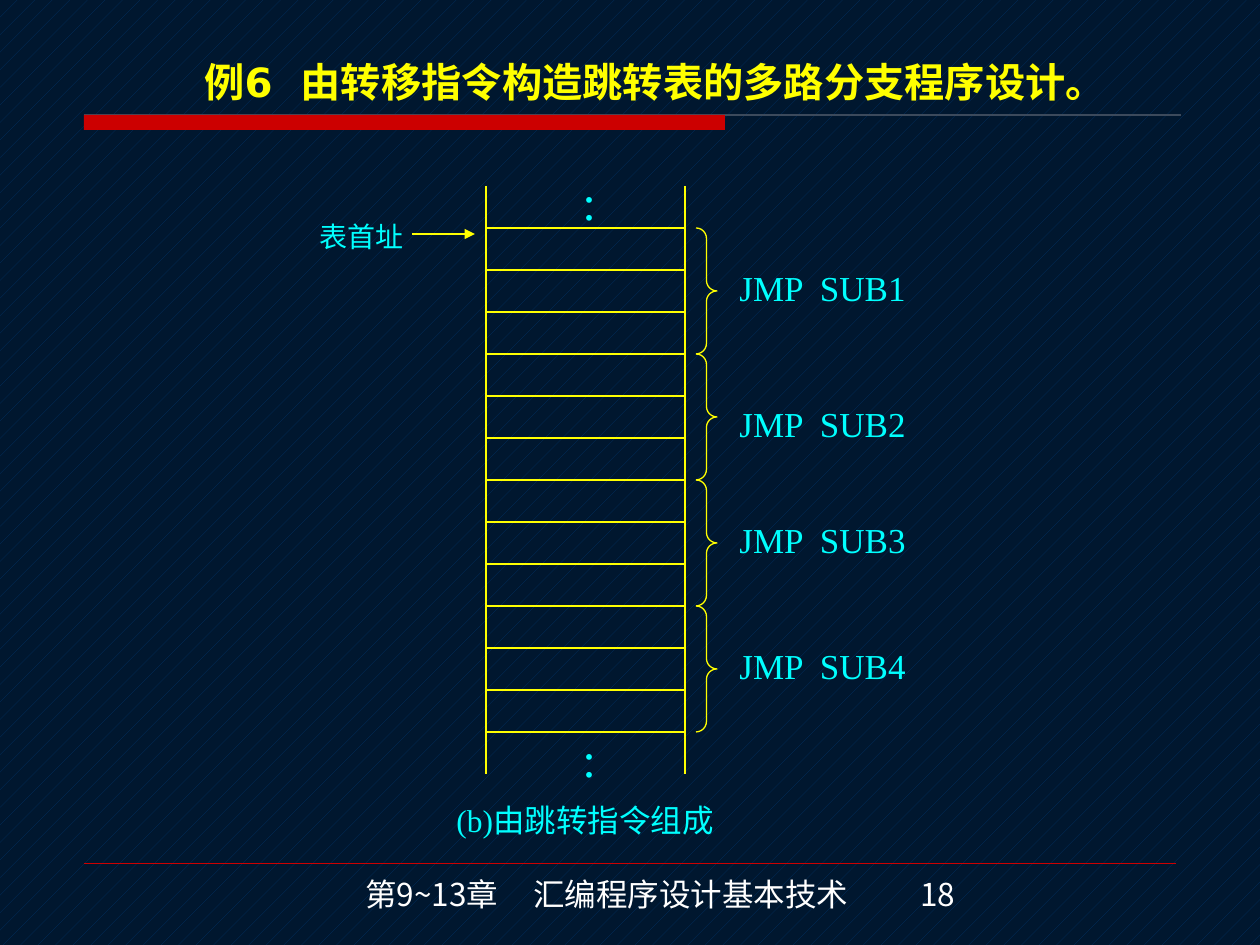
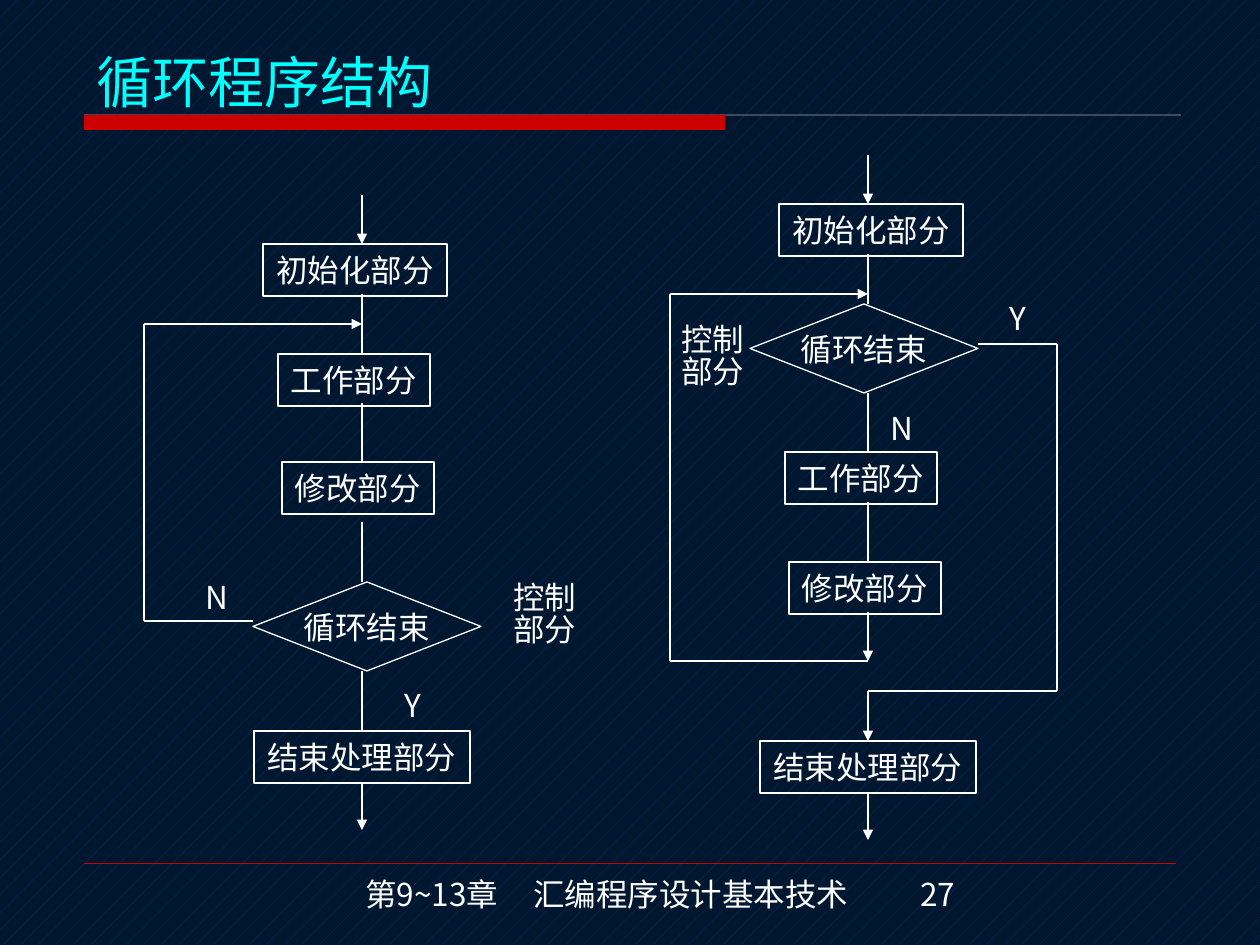
from itertools import pairwise

from lxml import etree
from pptx import Presentation
from pptx import util as u
from pptx.dml.color import RGBColor
from pptx.enum import dml, shapes, text
from pptx.oxml.ns import qn

PX = 914400 / 126
COLORS = {
    "back": "00172F",
    "pattern": "003366",
    "band": "CC0000",
    "rule": "3C4A5C",
    "yellow": "FFFF00",
    "cyan": "00FFFF",
    "white": "FFFFFF",
}
CJK = "Noto Sans CJK SC"
FOOTER_FONT = "Noto Sans CJK JP"
TITLE_FONT = "DejaVu Sans"
SERIF = "Times New Roman"
LEFT, CENTER = text.PP_ALIGN.LEFT, text.PP_ALIGN.CENTER
TOP, MIDDLE, BOTTOM = (text.MSO_ANCHOR.TOP, text.MSO_ANCHOR.MIDDLE,
                       text.MSO_ANCHOR.BOTTOM)


def px(value):
    return u.Emu(round(value * PX))


def rgb(name):
    return RGBColor.from_string(COLORS[name])


def write(box, words, size, color, font=CJK, bold=False, align=LEFT,
          anchor=TOP, wrap=True, spacing=None):
    """Fill a shape or text box with words in one style."""
    frame = box.text_frame
    frame.text = words
    frame.word_wrap = wrap
    frame.vertical_anchor = anchor
    for para in frame.paragraphs:
        para.alignment = align
        if spacing:
            para.line_spacing = spacing
        for span in para.runs:
            span.font.size = u.Pt(size)
            span.font.bold = bold
            span.font.name = font
            span.font.color.rgb = rgb(color)
            east = etree.SubElement(span.font._element, qn("a:ea"))
            east.set("typeface", CJK)


def label(page, words, area, size, color, **style):
    box = page.shapes.add_textbox(*map(px, area))
    write(box, words, size, color, **style)
    return box


def outline(page, kind, area, color):
    shape = page.shapes.add_shape(kind, *map(px, area))
    shape.shadow.inherit = False
    shape.fill.background()
    shape.line.color.rgb = rgb(color)
    shape.line.width = u.Pt(0.75)
    return shape


def line(page, start, end, color, width=0.75, arrow=False):
    link = page.shapes.add_connector(shapes.MSO_CONNECTOR.STRAIGHT,
                                     *map(px, (*start, *end)))
    link.line.color.rgb = rgb(color)
    link.line.width = u.Pt(width)
    if arrow:
        head = etree.SubElement(link.line._get_or_add_ln(), qn("a:tailEnd"))
        head.set("type", "triangle")
    etree.SubElement(link._element.spPr, qn("a:effectLst"))
    return link


def route(page, *points, arrow=False):
    """Draw white lines through the points; return the last one."""
    for start, end in pairwise(points):
        last = line(page, start, end, "white",
                    arrow=arrow and end == points[-1])
    return last


def step(page, words, left, top):
    box = outline(page, shapes.MSO_SHAPE.RECTANGLE,
                  (left, top, 24 + 32 * len(words), 52), "white")
    write(box, words, 18, "white", align=CENTER, anchor=MIDDLE, wrap=False)
    return box


def decision(page, words, left, top):
    diamond = outline(page, shapes.MSO_SHAPE.FLOWCHART_DECISION,
                      (left, top, 228, 89), "white")
    write(diamond, words, 18, "white", align=CENTER, anchor=MIDDLE, wrap=False)


def branch(page, words, left, top):
    label(page, words, (left, top, 42, 88), 18, "white", align=CENTER,
          wrap=False)


def control_note(page, left, top):
    label(page, "控制\n部分", (left, top, 88, 88), 18, "white", font="Arial",
          align=CENTER, anchor=MIDDLE, wrap=False, spacing=0.85)


def end_step(page, axis, above, top):
    """Place the last step on the axis with its incoming and outgoing line."""
    box = step(page, "结束处理部分", axis - 108, top)
    above.end_connect(box, 0)
    leave = line(page, (axis, top + 52), (axis, top + 99), "white", arrow=True)
    leave.begin_connect(box, 2)


def footer(page, number):
    box = label(page, f"第9~13章\t汇编程序设计基本技术\t{number}",
                (353, 869, 655, 50), 18, "white", font=FOOTER_FONT)
    props = box.text_frame.paragraphs[0]._p.get_or_add_pPr()
    stops = etree.SubElement(props, qn("a:tabLst"))
    for stop in (168, 555):
        tab = etree.SubElement(stops, qn("a:tab"))
        tab.set("pos", str(px(stop)))
        tab.set("algn", "l")


def new_page(deck, number):
    """Add a slide with the shared background, band and footer."""
    page = deck.slides.add_slide(deck.slide_layouts[6])
    fill = page.background.fill
    fill.patterned()
    fill.pattern = dml.MSO_PATTERN.PERCENT_5
    fill.fore_color.rgb = rgb("pattern")
    fill.back_color.rgb = rgb("back")
    line(page, (84, 863), (1176, 863), "band", 0.25)
    line(page, (84, 115), (1181, 115), "rule")
    band = outline(page, shapes.MSO_SHAPE.RECTANGLE, (84, 115, 641, 15), "band")
    band.fill.solid()
    band.fill.fore_color.rgb = rgb("band")
    band.line.fill.background()
    footer(page, number)
    return page


def jump_table_page(deck):
    page = new_page(deck, 18)
    label(page, "例6  由转移指令构造跳转表的多路分支程序设计。",
          (192, 26, 1074, 86), 23, "yellow", font=TITLE_FONT, bold=True,
          anchor=BOTTOM)
    left, right, first_row, row = 486, 685, 228, 42
    for x in (left, right):
        line(page, (x, first_row - row), (x, first_row + 13 * row), "yellow")
    for index in range(13):
        y = first_row + index * row
        line(page, (left, y), (right, y), "yellow")
    for top in (165, 722):
        label(page, ":", (570, top, 39, 72), 28, "cyan", font=SERIF, wrap=False)
    label(page, "表首址", (307, 213, 110, 47), 16, "cyan", font=SERIF,
          wrap=False)
    line(page, (412, 234), (475, 234), "yellow", arrow=True)
    for index, top in enumerate((260, 396, 512, 638)):
        brace = outline(page, shapes.MSO_SHAPE.RIGHT_BRACE,
                        (696, first_row + 3 * row * index, 21, 3 * row),
                        "yellow")
        brace.adjustments[0] = 0.5
        label(page, f"JMP  SUB{index + 1}", (727, top, 210, 54), 20, "cyan",
              font=SERIF)
    label(page, "(b)由跳转指令组成", (444, 795, 294, 50), 18, "cyan",
          font=SERIF)


def work_first_chart(page):
    axis = 362
    route(page, (axis, 195), (axis, 244), arrow=True)
    step(page, "初始化部分", 263, 244)
    step(page, "工作部分", 278, 354)
    step(page, "修改部分", 282, 462)
    decision(page, "循环结束", 253, 582)
    for top, bottom in ((294, 354), (403, 462), (522, 582)):
        route(page, (axis, top), (axis, bottom))
    end_step(page, axis, route(page, (axis, 671), (axis, 731)), 731)
    route(page, (253, 621), (144, 621), (144, 324), (axis, 324), arrow=True)
    branch(page, "N", 193, 572)
    branch(page, "Y", 392, 680)
    control_note(page, 501, 572)


def test_first_chart(page):
    axis = 868
    route(page, (axis, 155), (axis, 204), arrow=True)
    step(page, "初始化部分", 779, 204)
    decision(page, "循环结束", 750, 304)
    step(page, "工作部分", 785, 452)
    step(page, "修改部分", 789, 562)
    for top, bottom in ((254, 304), (393, 452), (502, 562)):
        route(page, (axis, top), (axis, bottom))
    route(page, (axis, 612), (axis, 661), arrow=True)
    route(page, (axis, 661), (670, 661), (670, 294), (axis, 294), arrow=True)
    leave = route(page, (978, 344), (1057, 344), (1057, 691), (axis, 691),
                  (axis, 741), arrow=True)
    end_step(page, axis, leave, 741)
    branch(page, "Y", 997, 293)
    branch(page, "N", 878, 403)
    control_note(page, 669, 314)


def loop_page(deck):
    page = new_page(deck, 27)
    label(page, "循环程序结构", (84, 26, 1103, 95), 32, "cyan",
          font=TITLE_FONT, anchor=BOTTOM)
    work_first_chart(page)
    test_first_chart(page)


def main():
    deck = Presentation()
    deck.slide_width, deck.slide_height = px(1260), px(945)
    jump_table_page(deck)
    loop_page(deck)
    deck.save("out.pptx")


if __name__ == "__main__":
    main()
